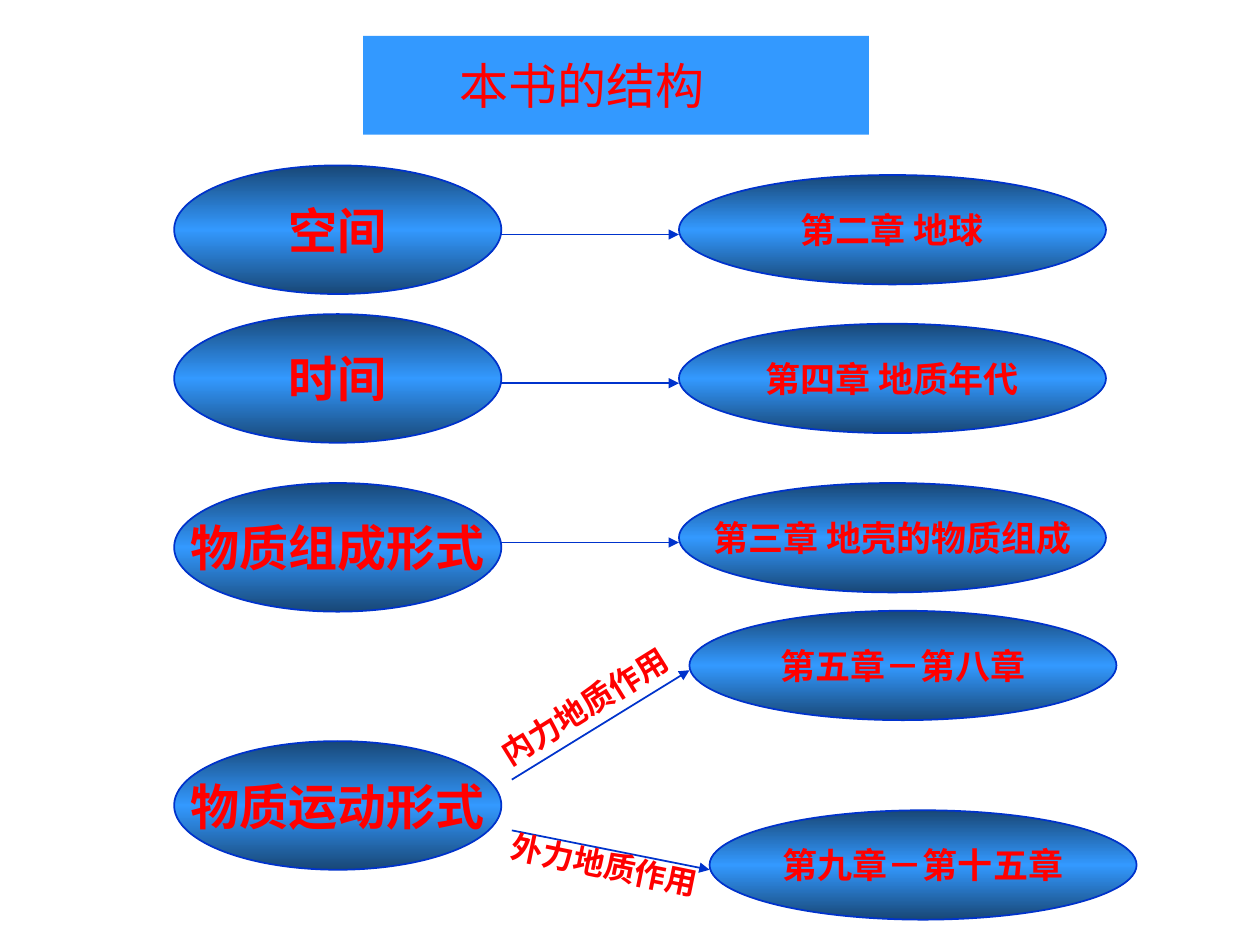
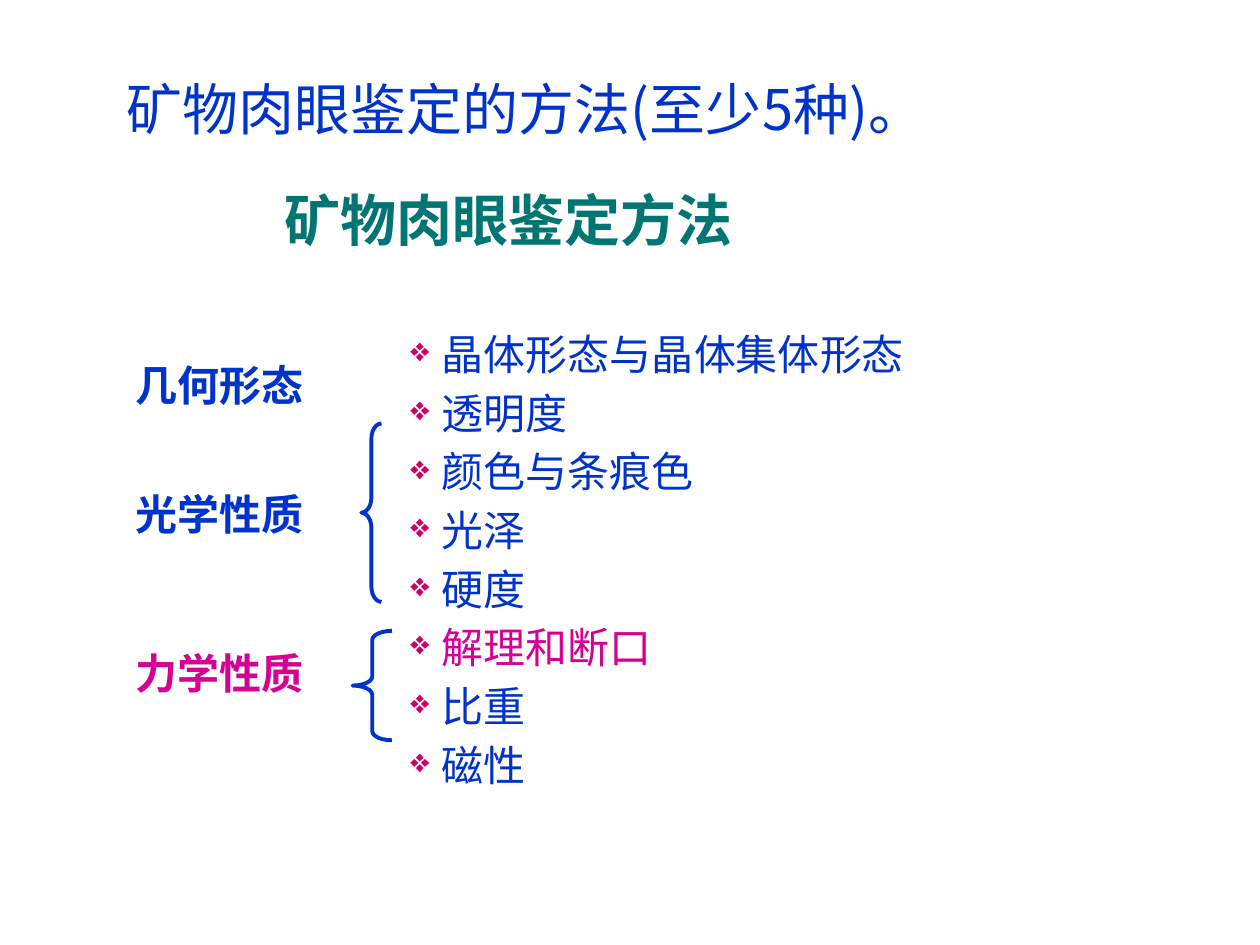
import copy

import pptx
import pptx.dml.color
import pptx.enum.shapes
import pptx.enum.text
import pptx.oxml
import pptx.oxml.ns
import pptx.util
from lxml import etree

Pt = pptx.util.Pt
qn = pptx.oxml.ns.qn
Shape = pptx.enum.shapes.MSO_SHAPE
Align = pptx.enum.text.PP_ALIGN
Anchor = pptx.enum.text.MSO_ANCHOR

COLORS = {
    "blue": "0033CC",
    "sky": "3399FF",
    "navy": "184776",
    "red": "FF0000",
    "teal": "007572",
    "magenta": "D60093",
    "crimson": "CC0066",
}
CHINESE_FONT = "Noto Sans CJK SC"


def rgb(name):
    return pptx.dml.color.RGBColor.from_string(COLORS[name])


class Style:
    """Holds the deck and its current slide, and draws elements in the deck's style."""

    def __init__(self):
        self.deck = pptx.Presentation()
        self.deck.slide_width, self.deck.slide_height = Pt(720), Pt(540)
        self.page = None

    def new_page(self):
        self.page = self.deck.slides.add_slide(self.deck.slide_layouts[5])

    def format(self, paragraph, text, size, color, bold=False, font=CHINESE_FONT,
               align=Align.LEFT):
        paragraph.text = text
        paragraph.alignment = align
        face = paragraph.font
        face.size, face.bold, face.name = Pt(size), bold, font
        face.color.rgb = rgb(color)
        defaults = paragraph._p.pPr.find(qn("a:defRPr"))
        etree.SubElement(defaults, qn("a:ea"), typeface=CHINESE_FONT)

    def frame(self, box, anchor, wrap=True, left=7.2, top=0):
        """Set the margins, wrapping and anchor of a box and return its text frame."""
        frame = box.text_frame
        frame.auto_size = pptx.enum.text.MSO_AUTO_SIZE.NONE
        frame.word_wrap, frame.vertical_anchor = wrap, anchor
        frame.margin_left, frame.margin_right = Pt(left), Pt(7.2)
        frame.margin_top, frame.margin_bottom = Pt(top), Pt(0)
        return frame

    def title(self, text, bounds, size, color, font, fill=None, anchor=Anchor.MIDDLE,
              left=7.2, top=0):
        title = self.page.shapes.title
        title.left, title.top, title.width, title.height = map(Pt, bounds)
        if fill:
            title.fill.solid()
            title.fill.fore_color.rgb = rgb(fill)
        frame = self.frame(title, anchor, left=left, top=top)
        self.format(frame.paragraphs[0], text, size, color, font=font)

    def label(self, text, bounds, size, color, font, align=Align.LEFT, rotation=0):
        box = self.page.shapes.add_textbox(*map(Pt, bounds))
        box.rotation = rotation
        frame = self.frame(box, Anchor.MIDDLE)
        self.format(frame.paragraphs[0], text, size, color, True, font, align)

    def shape(self, kind, bounds, line_width):
        shape = self.page.shapes.add_shape(kind, *map(Pt, bounds))
        shape.shadow.inherit = False
        shape.line.color.rgb = rgb("blue")
        shape.line.width = Pt(line_width)
        return shape

    def oval(self, text, bounds, size):
        oval = self.shape(Shape.OVAL, bounds, 1)
        oval.fill.gradient()
        oval.fill.gradient_angle = 90
        stops = oval._element.spPr.find(qn("a:gradFill")).find(qn("a:gsLst"))
        stops.append(copy.deepcopy(stops[0]))
        for stop, position, color in zip(oval.fill.gradient_stops, (0, 0.5, 1),
                                         ("navy", "sky", "navy")):
            stop.position = position
            stop.color.rgb = rgb(color)
        frame = self.frame(oval, Anchor.MIDDLE, wrap=False)
        self.format(frame.paragraphs[0], text, size, "red", True, align=Align.CENTER)

    def arrow(self, start, end):
        arrow = self.page.shapes.add_connector(
            pptx.enum.shapes.MSO_CONNECTOR.STRAIGHT, *map(Pt, start + end))
        arrow.line.color.rgb = rgb("blue")
        arrow.line.width = Pt(1)
        properties = arrow._element.spPr
        etree.SubElement(properties.find(qn("a:ln")), qn("a:tailEnd"), type="triangle")
        etree.SubElement(properties, qn("a:effectLst"))

    def brace(self, bounds, curve):
        brace = self.shape(Shape.LEFT_BRACE, bounds, 2.25)
        brace.fill.background()
        brace.adjustments[0] = curve

    def bullet(self, paragraph):
        properties = paragraph._p.get_or_add_pPr()
        properties.set("marL", str(Pt(90)))
        properties.set("indent", str(-Pt(18)))
        color = etree.SubElement(properties, qn("a:buClr"))
        etree.SubElement(color, qn("a:srgbClr"), val=COLORS["crimson"])
        etree.SubElement(properties, qn("a:buSzPct"), val="80000")
        etree.SubElement(properties, qn("a:buChar"), char="❖")

    def outline(self, heading, items, bounds):
        """Write a heading and, below it, bulleted (text, colour) items."""
        box = self.page.shapes.add_textbox(*map(Pt, bounds))
        frame = self.frame(box, Anchor.TOP, top=3.6)
        first = frame.paragraphs[0]
        first.line_spacing = Pt(40)
        self.format(first, heading, 32, "teal", True, "Arial")
        for number, (text, color) in enumerate(items):
            paragraph = frame.add_paragraph()
            paragraph.line_spacing = Pt(33.5)
            paragraph.space_before = Pt(0 if number else 38.5)
            self.bullet(paragraph)
            self.format(paragraph, text, 24, color, font="TeX Gyre Bonum")


def draw_book_structure(style):
    style.new_page()
    style.title("本书的结构", (207.5, 20.5, 289, 56.5), 28, "red", "Arial",
                fill="sky", left=55)

    topics = [("空间", 94.5), ("时间", 179.5), ("物质组成形式", 276), ("物质运动形式", 423.5)]
    for text, top in topics:
        style.oval(text, (99.5, top, 187, 73.5), 28)

    # Each chapter: text, left and top of its oval, start of its arrow (None: level)
    chapters = [
        ("第二章 地球", 388, 100, None),
        ("第四章 地质年代", 388, 185, None),
        ("第三章 地壳的物质组成", 388, 276, None),
        ("第五章－第八章", 394, 349, (292.5, 445.5)),
        ("第九章－第十五章", 405.5, 463, (292.5, 474.5)),
    ]
    for text, left, top, start in chapters:
        end = (left, top + 34)
        style.arrow(start or (286.5, end[1]), end)
        style.oval(text, (left, top, 244, 62.5), 20)

    forces = [("外力地质作用", (263.5, 479.5, 164, 29), 11.6),
              ("内力地质作用", (263.5, 389, 140.5, 29), 328.1)]
    for text, bounds, rotation in forces:
        style.label(text, bounds, 18, "red", "Arial", Align.CENTER, rotation)


def draw_mineral_methods(style):
    style.new_page()
    style.title("矿物肉眼鉴定的方法(至少5种)。", (65, 37.5, 612, 67.5), 32, "blue",
                CHINESE_FONT, anchor=Anchor.TOP, top=5)

    methods = ["晶体形态与晶体集体形态", "透明度", "颜色与条痕色", "光泽", "硬度",
               "解理和断口", "比重", "磁性"]
    items = [(text, "magenta" if text == "解理和断口" else "blue") for text in methods]
    style.outline("矿物肉眼鉴定方法", items, (155.5, 101, 465, 386))

    for text, top, color in [("几何形态", 202, "blue"), ("光学性质", 275.5, "blue"),
                             ("力学性质", 366.5, "magenta")]:
        style.label(text, (70.5, top, 119, 36), 24, color, "Times New Roman")

    style.brace((206.5, 242, 11.5, 102), 0.75)
    style.brace((201.5, 360.5, 22.5, 62.5), 0.23)


def main():
    style = Style()
    draw_book_structure(style)
    draw_mineral_methods(style)
    style.deck.save("out.pptx")


if __name__ == "__main__":
    main()
